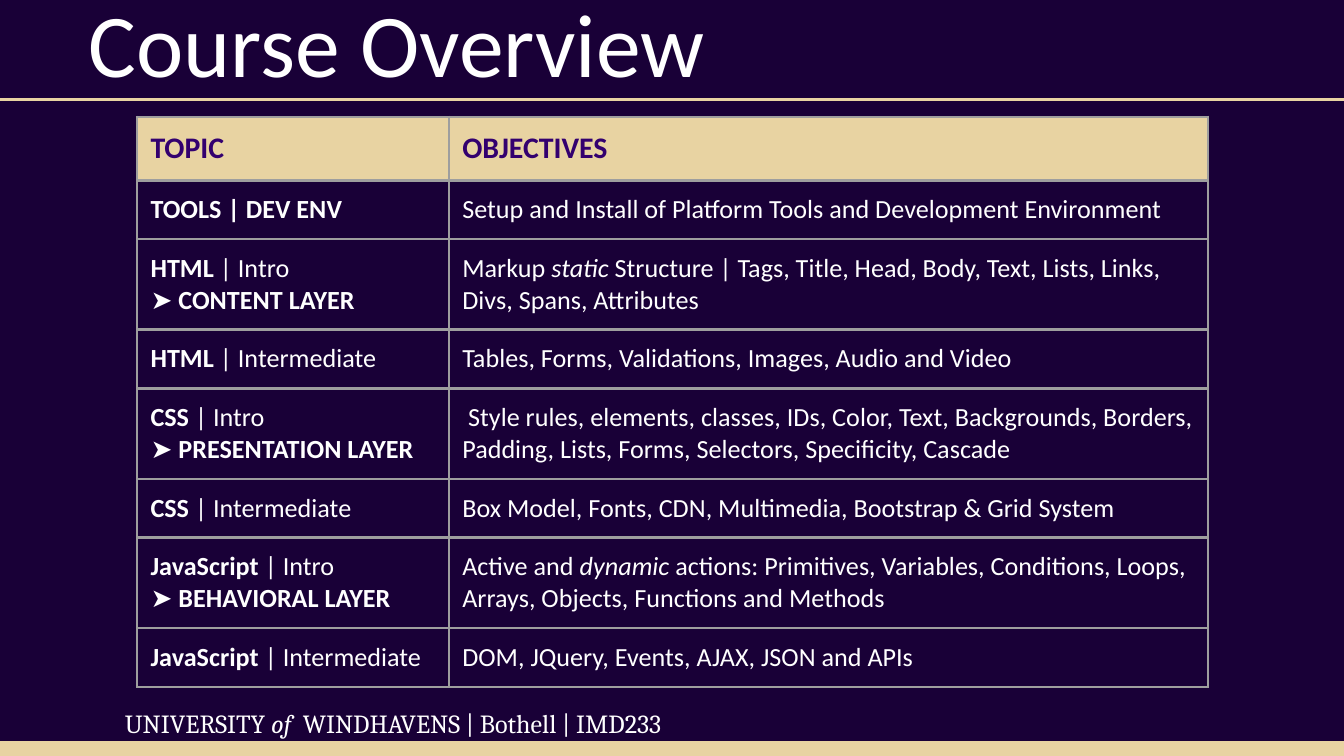
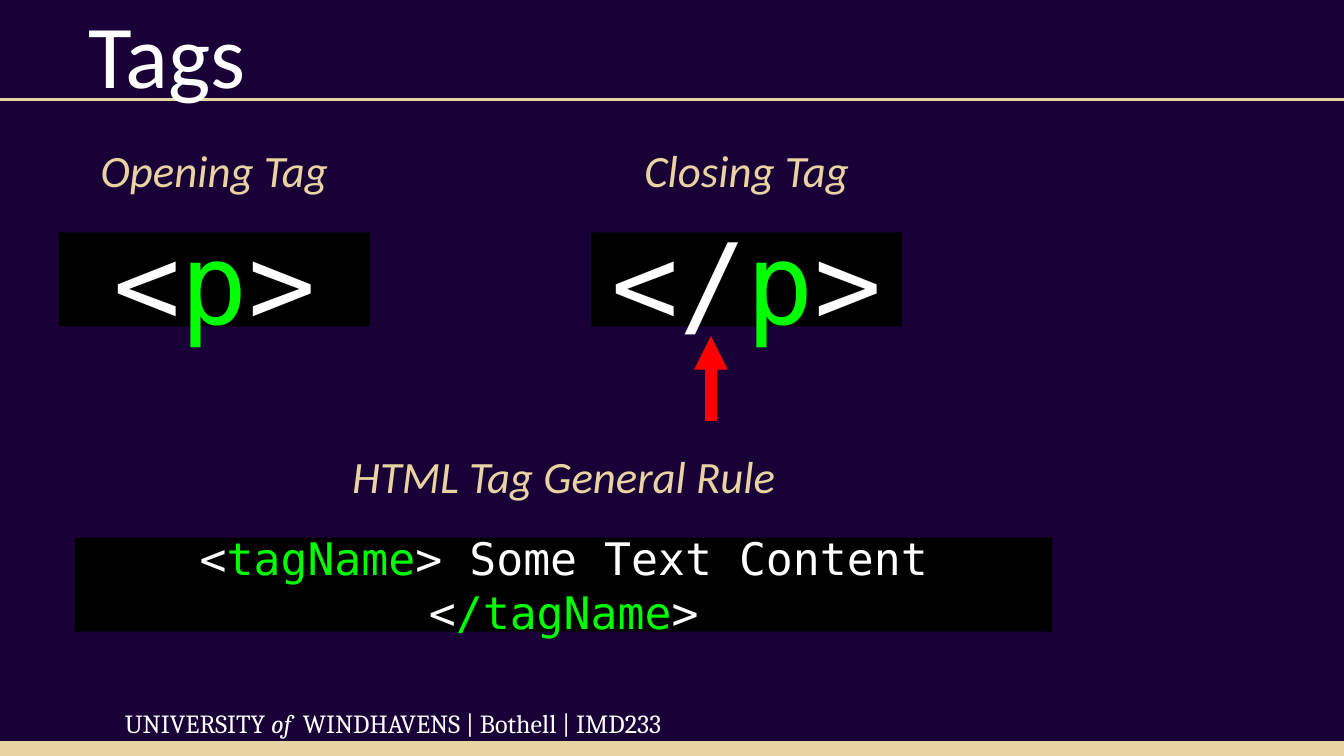
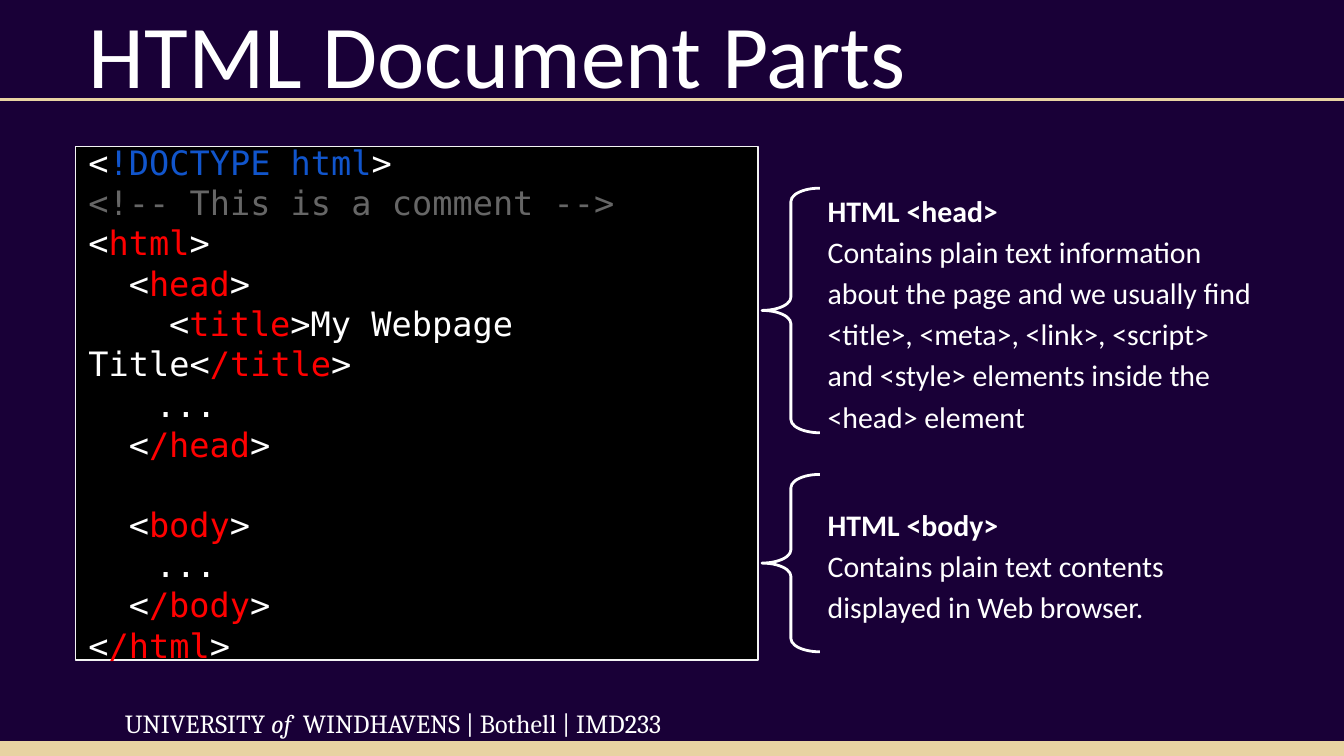
from dataclasses import dataclass, replace

from lxml import etree
from pptx import Presentation
from pptx.dml.color import RGBColor
from pptx.enum.shapes import MSO_CONNECTOR, MSO_SHAPE
from pptx.enum.text import MSO_ANCHOR, MSO_AUTO_SIZE, PP_ALIGN
from pptx.oxml import parse_xml
from pptx.oxml.ns import nsdecls, qn
from pptx.util import Inches, Pt

RECTANGLE, LEFT_BRACE = MSO_SHAPE.RECTANGLE, MSO_SHAPE.LEFT_BRACE
STRAIGHT = MSO_CONNECTOR.STRAIGHT
TOP, MIDDLE, BOTTOM = MSO_ANCHOR.TOP, MSO_ANCHOR.MIDDLE, MSO_ANCHOR.BOTTOM
LEFT, CENTER = PP_ALIGN.LEFT, PP_ALIGN.CENTER

# Square grid: 100 columns across the slide, 56.25 rows down
COLUMNS, ROWS = 100, 56.25
SLIDE_WIDTH = Inches(10)
UNIT = SLIDE_WIDTH / COLUMNS


def grid(count):
    return round(count * UNIT)


@dataclass(frozen=True)
class Box:
    left: float
    top: float
    width: float
    height: float

    def place(self):
        return [grid(n) for n in (self.left, self.top, self.width, self.height)]


@dataclass(frozen=True)
class Style:
    font: str
    size: float
    color: str
    bold: bool = False
    italic: bool = False


class Theme:
    background, gold, purple = "190037", "E8D3A2", "33006F"
    white, black, gray, pale = "FFFFFF", "000000", "9E9E9E", "F3F3F3"
    green, red, blue, dim = "00FF00", "FF0000", "1155CC", "666666"

    title = Style("Calibri", 48, white)
    footer = Style("Cambria", 14, white)
    header = Style("Calibri", 16, purple, bold=True)
    cell = Style("Calibri", 14, white)
    label = Style("Calibri", 24, gold, italic=True)
    note = Style("Calibri", 16, white)
    big_code = Style("DejaVu Sans Mono", 60, white)
    rule_code = replace(big_code, size=24)
    page_code = replace(big_code, size=18)


BOLD, ITALIC = {"bold": True}, {"italic": True}


def rgb(value):
    return RGBColor.from_string(value)


# Text: parts between asterisks take the accent
def write_line(para, text, style, accent=None, align=LEFT):
    para.alignment = align
    for index, part in enumerate(text.split("*")):
        if not part:
            continue
        look = replace(style, **(accent or {})) if index % 2 else style
        span = para.add_run()
        span.text = part
        span.font.name, span.font.size = look.font, Pt(look.size)
        span.font.bold, span.font.italic = look.bold, look.italic
        span.font.color.rgb = rgb(look.color)


def write(frame, lines, style, accent=None, align=LEFT, anchor=TOP):
    frame.word_wrap = True
    frame.vertical_anchor = anchor
    set_margins(frame)
    for index, line in enumerate(lines):
        para = frame.add_paragraph() if index else frame.paragraphs[0]
        write_line(para, line, style, accent, align)
    return frame.paragraphs


def set_margins(target):
    target.margin_left = target.margin_right = grid(1)
    target.margin_top = target.margin_bottom = grid(1)


# Basic parts
def add_panel(page, box, fill=None, line=None, line_width=1.5, kind=RECTANGLE):
    panel = page.shapes.add_shape(kind, *box.place())
    panel.shadow.inherit = False
    if fill:
        panel.fill.solid()
        panel.fill.fore_color.rgb = rgb(fill)
    else:
        panel.fill.background()
    if line:
        panel.line.color.rgb = rgb(line)
        panel.line.width = Pt(line_width)
    else:
        panel.line.fill.background()
    return panel


def add_text(page, box, lines, style, **options):
    text_box = page.shapes.add_textbox(*box.place())
    write(text_box.text_frame, lines, style, **options)
    return text_box


def add_line(page, start, end, color, width, arrow=False):
    line = page.shapes.add_connector(STRAIGHT, *map(grid, start + end))
    line.line.color.rgb = rgb(color)
    line.line.width = Pt(width)
    if arrow:
        etree.SubElement(line.line._get_or_add_ln(), qn("a:tailEnd"), type="triangle")
    etree.SubElement(line.element.spPr, qn("a:effectLst"))
    return line


# Shared frame, moved from the first page to the layout
def frame_layout(layout, page):
    layout.background.fill.solid()
    layout.background.fill.fore_color.rgb = rgb(Theme.background)
    parts = [
        add_panel(page, Box(0, ROWS - 1.1, COLUMNS, 1.1), Theme.gold),
        add_text(page, Box(8.3, 51.6, 46.5, 2.5),
                 ["UNIVERSITY *of*  WINDHAVENS | Bothell | IMD233"],
                 Theme.footer, accent=ITALIC),
        add_line(page, (0, 7.4), (COLUMNS, 7.4), Theme.gold, 1.5),
    ]
    for number, part in enumerate(parts, start=20):
        part.element.xpath(".//p:cNvPr")[0].set("id", str(number))
        layout.shapes.element.append(part.element)


def add_page(deck, title, top=2.8):
    page = deck.slides.add_slide(deck.slide_layouts[5])
    holder = page.shapes.title
    holder.left, holder.top, holder.width, holder.height = Box(5.6, top, 88.8, 6.1).place()
    holder.text_frame.auto_size = MSO_AUTO_SIZE.NONE
    write(holder.text_frame, [title], Theme.title, anchor=BOTTOM)
    return page


# Course table
COURSE = [
    (["TOPIC"], "OBJECTIVES"),
    (["*TOOLS | DEV ENV*"], "Setup and Install of Platform Tools and Development Environment"),
    (["*HTML* | Intro", "*➤ CONTENT LAYER*"],
     "Markup *static* Structure | Tags, Title, Head, Body, Text, Lists, Links, "
     "Divs, Spans, Attributes"),
    (["*HTML* | Intermediate"], "Tables, Forms, Validations, Images, Audio and Video"),
    (["*CSS* | Intro", "*➤ PRESENTATION LAYER*"],
     " Style rules, elements, classes, IDs, Color, Text, Backgrounds, Borders, "
     "Padding, Lists, Forms, Selectors, Specificity, Cascade"),
    (["*CSS* | Intermediate"], "Box Model, Fonts, CDN, Multimedia, Bootstrap & Grid System"),
    (["*JavaScript* | Intro", "*➤ BEHAVIORAL LAYER*"],
     "Active and *dynamic* actions: Primitives, Variables, Conditions, Loops, "
     "Arrays, Objects, Functions and Methods"),
    (["*JavaScript *| Intermediate"], "DOM, JQuery, Events, AJAX, JSON and APIs"),
]


def border_cell(cell):
    properties = cell._tc.get_or_add_tcPr()
    for index, side in enumerate(("lnL", "lnR", "lnT", "lnB")):
        properties.insert(index, parse_xml(
            f'<a:{side} {nsdecls("a")} w="{Pt(1.5)}"><a:solidFill>'
            f'<a:srgbClr val="{Theme.gray}"/></a:solidFill></a:{side}>'))


def add_course_table(page, box, topic_width, header_height, row_height):
    table = page.shapes.add_table(len(COURSE), 2, *box.place()).table
    table.first_row = table.horz_banding = False
    table.columns[0].width = grid(topic_width)
    table.columns[1].width = grid(box.width - topic_width)
    for index, (topic, objective) in enumerate(COURSE):
        is_header = index == 0
        table.rows[index].height = grid(header_height if is_header else row_height)
        style = Theme.header if is_header else Theme.cell
        for column, (lines, accent) in enumerate(((topic, BOLD), ([objective], ITALIC))):
            cell = table.cell(index, column)
            set_margins(cell)
            for number, line in enumerate(lines):
                frame = cell.text_frame
                para = frame.add_paragraph() if number else frame.paragraphs[0]
                write_line(para, line, style, accent)
            if is_header:
                cell.fill.solid()
                cell.fill.fore_color.rgb = rgb(Theme.gold)
            else:
                cell.fill.background()
            border_cell(cell)


def build_overview(page):
    add_course_table(page, Box(10.2, 8.7, 79.7, 32), 23.2, 2.6, 4.2)


# Tag cards: a label centred above a black code panel
def add_tag_card(page, box, label, label_width, code, style):
    label_left = box.left + (box.width - label_width) / 2
    panel = add_panel(page, box, Theme.black)
    write(panel.text_frame, [code], style, {"color": Theme.green}, CENTER, MIDDLE)
    add_text(page, Box(label_left, box.top - 7.1, label_width, 4.9), [label],
             Theme.label, align=CENTER, anchor=MIDDLE)


def build_tags(page):
    opening = Box(4.4, 17.3, 23.1, 7)
    closing = replace(opening, left=opening.left + 39.6)
    add_tag_card(page, opening, "Opening Tag", 27.2, "<*p*>", Theme.big_code)
    add_tag_card(page, Box(5.6, 40, 72.7, 7), "HTML Tag General Rule", 41,
                 "<*tagName*> Some Text Content <*/tagName*>", Theme.rule_code)
    arrow_left = closing.left + 8.9
    add_line(page, (arrow_left, 31.3), (arrow_left, 25), Theme.red, 6, arrow=True)
    add_tag_card(page, closing, "Closing Tag", 27.2, "</*p*>", Theme.big_code)


# Document listing: first-line indent in grid columns, then the code
DOCUMENT = [
    (0, "<*!DOCTYPE html*>"),
    (0, "*<!-- This is a comment -->*"),
    (0, "<*html*>"),
    (3, "<*head*>"),
    (6, "<*title*>My Webpage Title<*/title*>"),
    (5, "..."),
    (3, "<*/head*>"),
    (3, "<*body*>"),
    (5, "..."),
    (3, "<*/body*>"),
    (0, "<*/html*>"),
]
LINE_COLORS = {0: Theme.blue, 1: Theme.dim}
BODY_LINE = 7


def add_listing(page, box):
    frame = add_panel(page, box, Theme.black, Theme.pale, 0.75).text_frame
    paras = write(frame, [""] * len(DOCUMENT), Theme.page_code, anchor=MIDDLE)
    for index, (para, (indent, code)) in enumerate(zip(paras, DOCUMENT)):
        accent = {"color": LINE_COLORS.get(index, Theme.red)}
        write_line(para, code, Theme.page_code, accent)
        properties = para._p.get_or_add_pPr()
        properties.set("marL", "0")
        properties.set("indent", str(grid(indent)))
    paras[BODY_LINE].space_before = Pt(21)


def add_note(page, box, heading, text):
    brace_width, text_left = 4.3, 3.9
    text_area = replace(box, left=box.left + text_left, width=box.width - text_left)
    note = add_text(page, text_area, [f"*{heading}*", text], Theme.note,
                    accent=BOLD, anchor=MIDDLE)
    for para in note.text_frame.paragraphs:
        para.line_spacing = 1.15
    brace = add_panel(page, replace(box, width=brace_width), line=Theme.white, kind=LEFT_BRACE)
    brace.adjustments[0] = 0.23


def build_document(page):
    add_listing(page, Box(5.6, 10.9, 50.8, 38.2))
    add_note(page, Box(56.7, 14, 37.7, 18.2), "HTML <head>",
             "Contains plain text information about the page and we usually find <title>, "
             "<meta>, <link>, <script> and <style> elements inside the <head> element")
    add_note(page, Box(56.7, 35.3, 37.7, 13.2), "HTML <body>",
             "Contains plain text contents displayed in Web browser.")


def main():
    deck = Presentation()
    deck.slide_width, deck.slide_height = SLIDE_WIDTH, grid(ROWS)
    overview = add_page(deck, "Course Overview", top=2)
    frame_layout(deck.slide_layouts[5], overview)
    build_overview(overview)
    build_tags(add_page(deck, "Tags"))
    build_document(add_page(deck, "HTML Document Parts"))
    deck.save("out.pptx")


if __name__ == "__main__":
    main()
